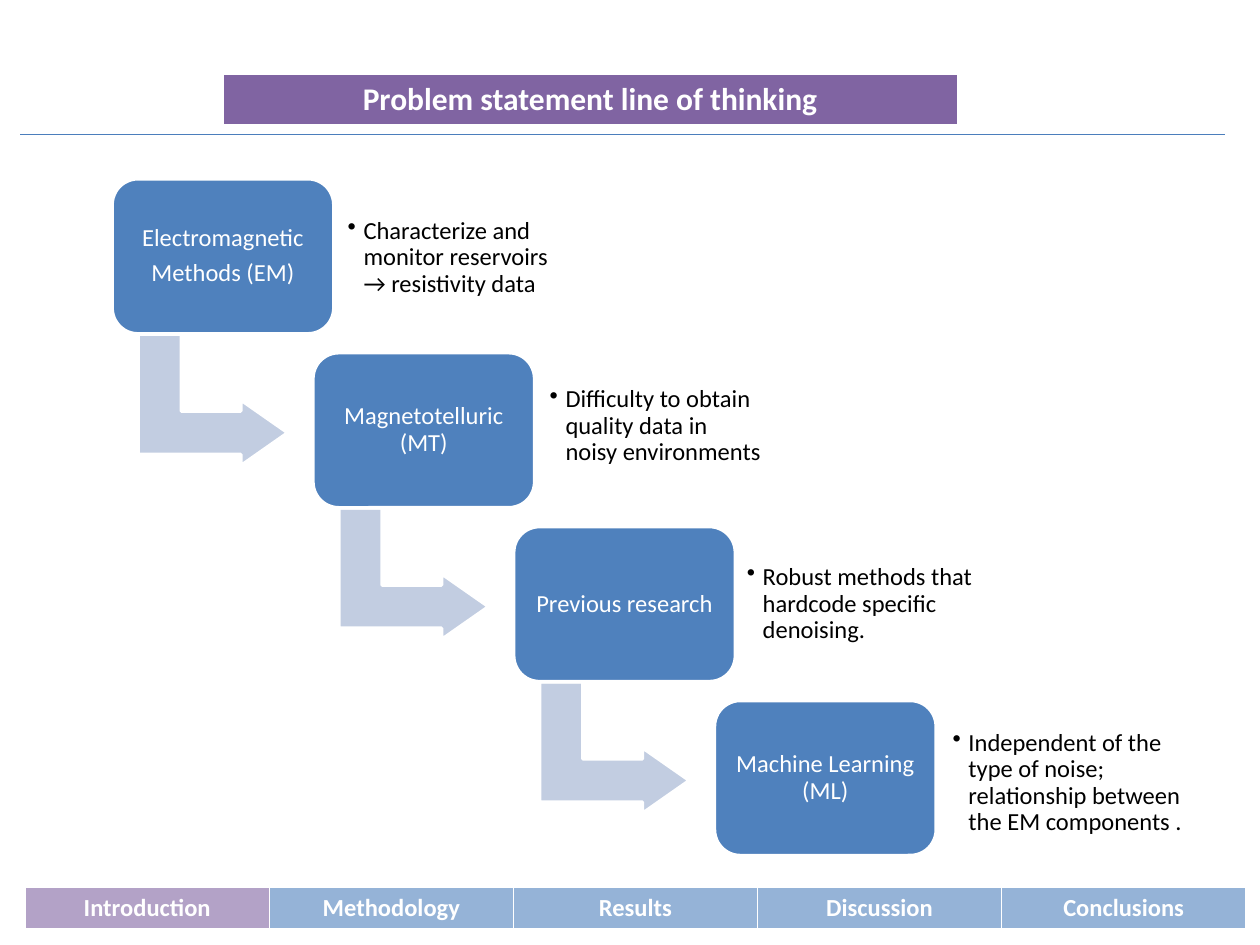
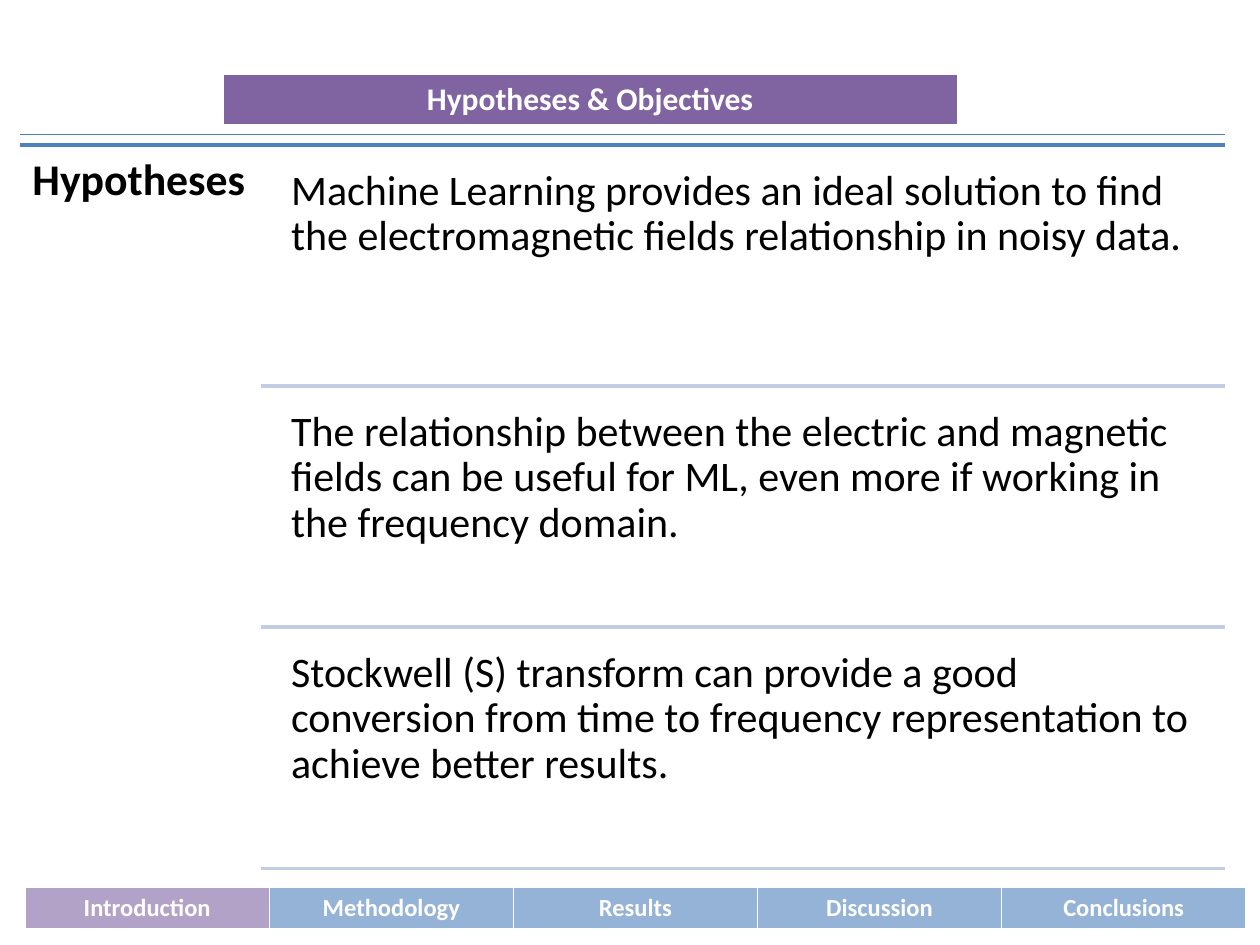
from dataclasses import dataclass

from lxml.etree import SubElement
from pptx import Presentation
from pptx.dml.color import RGBColor as RGB
from pptx.enum.shapes import MSO_CONNECTOR as Conn, MSO_SHAPE as Shape
from pptx.enum.text import MSO_ANCHOR as Anchor, PP_ALIGN as Align
from pptx.oxml.ns import qn
from pptx.util import Pt


@dataclass(frozen=True)
class Theme:
    font: str = "Calibri"
    white: str = "FFFFFF"
    black: str = "000000"
    band: str = "8064A2"
    active: str = "B3A2C7"
    idle: str = "95B3D7"
    card: str = "4F81BD"
    pale: str = "C2CDE1"
    rule: str = "4B7EBC"
    small: float = 14
    title: float = 18
    body: float = 24
    label: float = 25


T = Theme()
TABS = ["Introduction", "Methodology", "Results", "Discussion", "Conclusions"]

# Card text, note text, and the note's shift from its card (x, y) and width
STEPS = [
    ("Electromagnetic\nMethods (EM)",
     "Characterize and monitor reservoirs → resistivity data",
     130.3, 9.4, 133.2),
    ("Magnetotelluric (MT)",
     "Difficulty to obtain quality data in noisy environments",
     131, 6.5, 130.3),
    ("Previous research",
     "Robust methods that hardcode specific denoising.",
     129, 8.6, 168.5),
    ("Machine Learning (ML)",
     "Independent of the type of noise; relationship between "
     "the EM components .",
     131.8, 11.5, 148.3),
]
CLAIMS = [
    "Machine Learning provides an ideal solution to find the "
    "electromagnetic fields relationship in noisy data.",
    "The relationship between the electric and magnetic fields can be "
    "useful for ML, even more if working in the frequency domain.",
    "Stockwell (S) transform can provide a good conversion from time to "
    "frequency representation to achieve better results.",
]


def pts(*nums):
    return [Pt(n) for n in nums]


def write(frame, text, size=T.small, color=T.black, bold=False,
          align=Align.LEFT, space=None, after=0, bullet=False):
    """Fill a text frame, one paragraph for each line of text."""
    frame.word_wrap = True
    for i, line in enumerate(text.split("\n")):
        para = frame.add_paragraph() if i else frame.paragraphs[0]
        para.alignment = align
        if bullet:
            props = para._p.get_or_add_pPr()
            props.set("marL", str(Pt(9)))
            props.set("indent", str(Pt(-9)))
            SubElement(props, qn("a:buChar")).set("char", "•")
        if space:
            para.line_spacing = space
            para.space_after = Pt(after * size)
        run = para.add_run()
        run.text = line
        font = run.font
        font.name, font.size, font.bold = T.font, Pt(size), bold
        font.color.rgb = RGB.from_string(color)


def inset(frame, pad):
    frame.margin_left = frame.margin_right = Pt(pad)
    frame.margin_top = frame.margin_bottom = Pt(pad)


def label(slide, box, text, pad, anchor=Anchor.TOP, **style):
    frame = slide.shapes.add_textbox(*pts(*box)).text_frame
    inset(frame, pad)
    frame.vertical_anchor = anchor
    write(frame, text, **style)


def block(slide, kind, box, fill):
    shape = slide.shapes.add_shape(kind, *pts(*box))
    shape.shadow.inherit = False
    shape.fill.solid()
    shape.fill.fore_color.rgb = RGB.from_string(fill)
    shape.line.color.rgb = RGB.from_string(T.white)
    shape.line.width = Pt(2)
    return shape


def rule(slide, left, right, y, color, width=2):
    line = slide.shapes.add_connector(Conn.STRAIGHT, *pts(left, y, right, y))
    SubElement(line._element.spPr, qn("a:effectLst"))
    line.line.color.rgb = RGB.from_string(color)
    line.line.width = Pt(width)


def strip(slide, box, cells, size):
    """Draw a one-row table from (text, fill) pairs."""
    table = slide.shapes.add_table(1, len(cells), *pts(*box)).table
    for cell, (text, fill) in zip(table.iter_cells(), cells):
        cell.fill.solid()
        cell.fill.fore_color.rgb = RGB.from_string(fill)
        write(cell.text_frame, text, size=size, color=T.white, bold=True,
              align=Align.CENTER)


def frame_page(slide, title):
    """Add the parts every slide shares: title band, rule and section bar."""
    strip(slide, (127.5, 42.5, 419.5, 28.1), [(title, T.band)], T.title)
    rule(slide, 11.5, 700, 77, T.rule, 0.75)
    tabs = [(tab, T.idle if i else T.active) for i, tab in enumerate(TABS)]
    strip(slide, (14.4, 506.9, 697.5, 22.3), tabs, T.small)


def stairs(slide, box):
    """Lay cards down a diagonal, with a note by each and arrows between."""
    left, top, width, height = box
    wide, high = 126.7, 88.6
    gaps = len(STEPS) - 1
    for i, (name, note, dx, dy, span) in enumerate(STEPS):
        x = left + i * (width - wide) / gaps
        y = top + i * (height - high) / gaps
        if i < gaps:
            arrow = block(slide, Shape.BENT_UP_ARROW,
                          (x + 20, y + 83.5, 75.2, 85.6), T.pale)
            arrow.rotation = 90
            for k, ratio in enumerate((0.328, 0.25, 0.358)):
                arrow.adjustments[k] = ratio
        card = block(slide, Shape.ROUNDED_RECTANGLE, (x, y, wide, high),
                     T.card)
        inset(card.text_frame, 4.3)
        card.text_frame.vertical_anchor = Anchor.MIDDLE
        write(card.text_frame, name, color=T.white, align=Align.CENTER,
              space=0.9, after=0.35)
        label(slide, (x + dx, y + dy, span, 71.3), note, 4.3, Anchor.MIDDLE,
              space=0.9, after=0.15, bullet=True)


def claims(slide, box):
    """List the claims in equal rows, each closed by a pale rule."""
    left, top, width, height = box
    right, inner = left + width, left + 137.7
    rule(slide, left, right, top, T.card)
    label(slide, (left, top, 137.7, height), "Hypotheses", 7.2,
          size=T.label, bold=True, space=0.9, after=0.35)
    pitch = height / len(CLAIMS)
    for i, claim in enumerate(CLAIMS):
        y = top + i * pitch
        label(slide, (inner + 10.1, y + 6.5, 540, 131), claim, 7.2,
              size=T.body, space=0.9, after=0.35)
        rule(slide, inner, right, y + pitch, T.pale)


def main():
    deck = Presentation()
    deck.slide_width, deck.slide_height = pts(720, 540)
    pages = [
        ("Problem statement line of thinking", stairs,
         (64.1, 102.2, 470.9, 386.7)),
        ("Hypotheses & Objectives", claims, (11.5, 82.8, 688.5, 413.4)),
    ]
    for title, draw, box in pages:
        slide = deck.slides.add_slide(deck.slide_layouts[6])
        draw(slide, box)
        frame_page(slide, title)
    deck.save("out.pptx")


if __name__ == "__main__":
    main()
